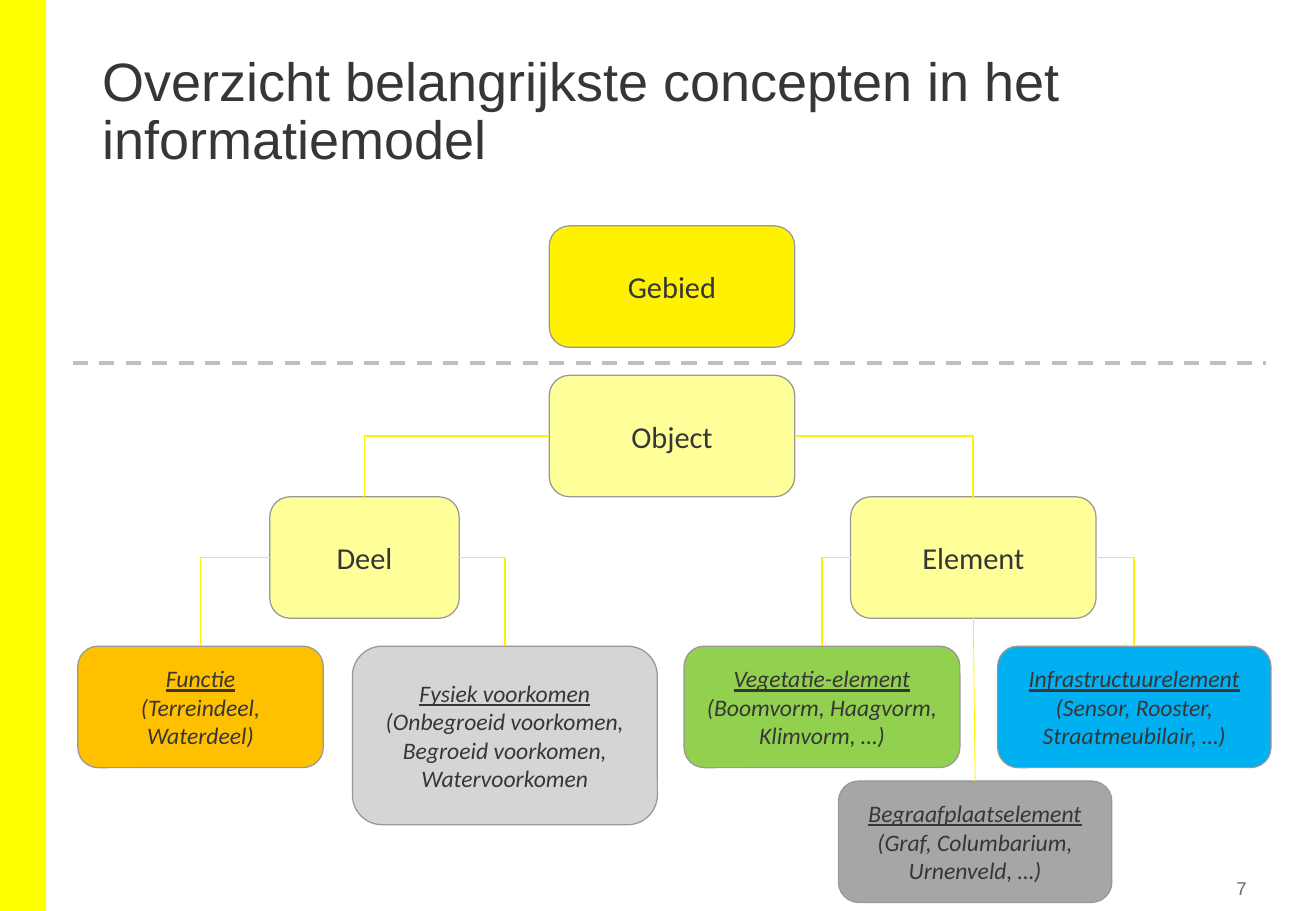
from pptx import Presentation
from pptx import util as u
from pptx.dml.color import RGBColor
from pptx.enum import dml, shapes, text
from pptx.oxml import ns
from pptx.oxml.xmlchemy import OxmlElement

PX = 9144  # 100 px to the inch
THEME = {
    "heading_font": "Arial", "label_font": "Calibri",
    "title": 32, "concept": 18, "detail": 14, "number": 11,
    "ink": "373636", "muted": "6B6B6B", "outline": "989898",
    "bar": "FFFF00", "link": "FFF200", "divider": "BFBFBF",
    "area": "FFF200", "object": "FFFF99", "function": "FFC000",
    "physical": "D5D5D5", "vegetation": "92D050",
    "infrastructure": "00B0F0", "cemetery": "A6A6A6",
}
LEFT_SIDE, RIGHT_SIDE, TOP_SIDE, BOTTOM_SIDE = 1, 3, 0, 2


def style_font(para, face, size, color):
    para.font.name = THEME[face]
    para.font.size = u.Pt(THEME[size])
    para.font.color.rgb = RGBColor.from_string(THEME[color])


def add_line(kind, color, width, ends=(0, 0, 0, 0)):
    """Add a connector without shadow; ends are x1, y1, x2, y2 in px."""
    line = page.shapes.add_connector(kind, *(n * PX for n in ends))
    line.line.color.rgb = RGBColor.from_string(THEME[color])
    line.line.width = u.Pt(width)
    line._element.spPr.append(OxmlElement("a:effectLst"))
    return line


deck = Presentation()
deck.slide_width, deck.slide_height = 1083 * PX, 750 * PX
page = deck.slides.add_slide(deck.slide_layouts[5])

bar = page.shapes.add_shape(shapes.MSO_SHAPE.RECTANGLE, 0, 0, 38 * PX, 750 * PX)
bar.shadow.inherit = False
bar.fill.solid()
bar.fill.fore_color.rgb = RGBColor.from_string(THEME["bar"])
bar.line.fill.background()

title = page.shapes.title
title.left, title.top, title.width, title.height = (n * PX for n in (74, 40, 934, 108))
frame = title.text_frame
frame.text = "Overzicht belangrijkste concepten in het informatiemodel"
frame.auto_size = text.MSO_AUTO_SIZE.NONE
frame.vertical_anchor = text.MSO_ANCHOR.TOP
para = frame.paragraphs[0]
para.alignment = text.PP_ALIGN.LEFT
para.line_spacing = 0.9
style_font(para, "heading_font", "title", "ink")

number = page.shapes.add_textbox(950 * PX, 717 * PX, 81 * PX, 29 * PX)
frame = number.text_frame
frame.text = "7"
frame.word_wrap = True
frame.vertical_anchor = text.MSO_ANCHOR.MIDDLE
frame.margin_left = frame.margin_right = 5 * PX
frame.paragraphs[0].alignment = text.PP_ALIGN.RIGHT
style_font(frame.paragraphs[0], "heading_font", "number", "muted")

# name, detail, colour, left, top, width, height
concepts = [
    ("Gebied", "", "area", 452, 186, 202, 100),
    ("Object", "", "object", 452, 309, 202, 100),
    ("Deel", "", "object", 222, 409, 156, 100),
    ("Element", "", "object", 700, 409, 202, 100),
    ("Functie", "(Terreindeel, Waterdeel)", "function", 64, 532, 202, 100),
    ("Fysiek voorkomen", "(Onbegroeid voorkomen, Begroeid voorkomen, Watervoorkomen",
     "physical", 290, 532, 251, 147),
    ("Vegetatie-element", "(Boomvorm, Haagvorm, Klimvorm, …)",
     "vegetation", 563, 532, 227, 100),
    ("Infrastructuurelement", "(Sensor, Rooster, Straatmeubilair, …)",
     "infrastructure", 821, 532, 225, 100),
    ("Begraafplaatselement", "(Graf, Columbarium, Urnenveld, …)",
     "cemetery", 690, 643, 225, 100),
]
boxes = {}
for name, detail, color, *place in concepts:
    box = page.shapes.add_shape(
        shapes.MSO_SHAPE.ROUNDED_RECTANGLE, *(n * PX for n in place))
    boxes[name] = box
    box.shadow.inherit = False
    box.fill.solid()
    box.fill.fore_color.rgb = RGBColor.from_string(THEME[color])
    box.line.color.rgb = RGBColor.from_string(THEME["outline"])
    box.line.width = u.Pt(0.75)
    frame = box.text_frame
    frame.word_wrap = True
    frame.vertical_anchor = text.MSO_ANCHOR.MIDDLE
    frame.text = f"{name}\n{detail}" if detail else name
    for para in frame.paragraphs:
        para.alignment = text.PP_ALIGN.CENTER
        style_font(para, "label_font", "detail" if detail else "concept", "ink")
        para.font.italic = bool(detail)
    frame.paragraphs[0].font.underline = bool(detail)

branches = [
    ("Object", "Deel", "Element"),
    ("Deel", "Functie", "Fysiek voorkomen"),
    ("Element", "Vegetatie-element", "Infrastructuurelement"),
]
for parent, *children in branches:
    for side, child in zip((LEFT_SIDE, RIGHT_SIDE), children):
        branch = add_line(shapes.MSO_CONNECTOR.ELBOW, "link", 1)
        branch.begin_connect(boxes[parent], side)
        branch.end_connect(boxes[child], TOP_SIDE)
        # One corner: sideways out of the parent, then down to the child
        outline = branch._element.spPr.find(ns.qn("a:prstGeom"))
        outline.set("prst", "bentConnector2")

divider = add_line(shapes.MSO_CONNECTOR.STRAIGHT, "divider", 2.25, (60, 299, 1042, 299))
divider.line.dash_style = dml.MSO_LINE.DASH

stem = add_line(shapes.MSO_CONNECTOR.STRAIGHT, "link", 0.5)
stem.begin_connect(boxes["Element"], BOTTOM_SIDE)
stem.end_connect(boxes["Begraafplaatselement"], TOP_SIDE)

deck.save("out.pptx")
